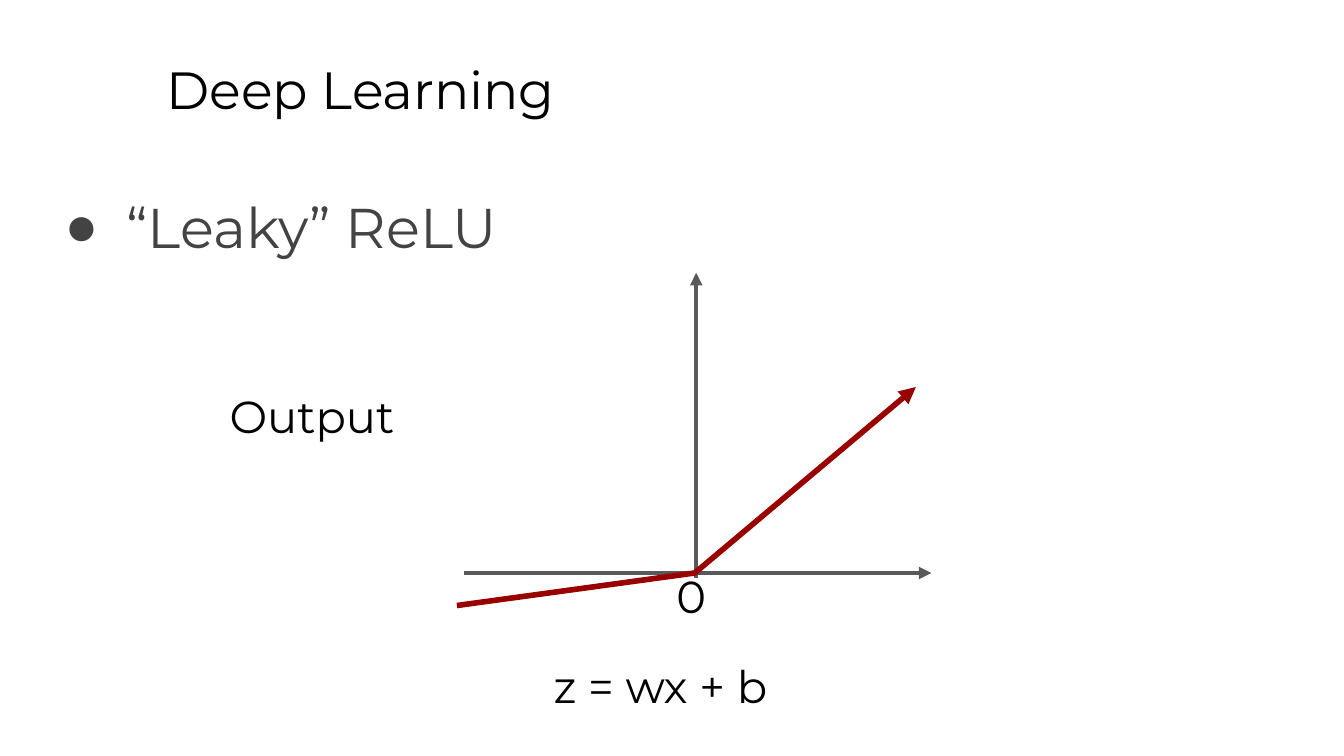
from dataclasses import dataclass

import pptx
import pptx.dml.color
import pptx.enum.shapes
import pptx.enum.text
import pptx.oxml
import pptx.oxml.ns
import pptx.util


@dataclass(frozen=True)
class Theme:
    font: str = "Montserrat"
    ink: str = "000000"
    body: str = "434343"
    axis: str = "595959"
    curve: str = "990000"
    title_size: int = 28
    body_size: int = 30
    label_size: int = 24
    axis_width: float = 2.25
    curve_width: float = 3


@dataclass(frozen=True)
class Box:
    left: float
    top: float
    width: float
    height: float


@dataclass(frozen=True)
class Point:
    x: float
    y: float


@dataclass(frozen=True)
class Label:
    text: str
    box: Box


@dataclass(frozen=True)
class Axis:
    start: Point
    end: Point


THEME = Theme()
WIDTH = pptx.util.Inches(10)
HEIGHT = WIDTH * 9 // 16

TITLE_BOX = Box(11.4, 5.75, 85.2, 11.2)
BODY_BOX = Box(3.4, 22.4, 95.2, 66.5)
AXES = [
    Axis(Point(51.8, 76.45), Point(51.8, 36.1)),
    Axis(Point(34.55, 75.8), Point(69.3, 75.8)),
]
LABELS = [
    Label("z = wx + b", Box(40.2, 85.35, 26.1, 9.6)),
    Label("Output", Box(16.1, 49.68, 17.5, 9.6)),
    Label("0", Box(49.35, 73.4, 5.8, 9.6)),
]
LEAKY_RELU = [Point(34, 80.1), Point(51.7, 75.8), Point(68.15, 51.2)]


def across(share: float) -> int:
    return round(WIDTH * share / 100)


def down(share: float) -> int:
    return round(HEIGHT * share / 100)


def place(shape, box: Box) -> None:
    shape.left, shape.top = across(box.left), down(box.top)
    shape.width, shape.height = across(box.width), down(box.height)


def write(shape, text: str, *, size: float, color: str, line_spacing: float = 1.0):
    frame = shape.text_frame
    frame.word_wrap = True
    frame.auto_size = pptx.enum.text.MSO_AUTO_SIZE.NONE
    frame.vertical_anchor = pptx.enum.text.MSO_ANCHOR.TOP
    inset = pptx.util.Inches(0.1)
    frame.margin_left = frame.margin_right = inset
    frame.margin_top = frame.margin_bottom = inset
    paragraph = frame.paragraphs[0]
    paragraph.alignment = pptx.enum.text.PP_ALIGN.LEFT
    paragraph.line_spacing = line_spacing
    paragraph.space_before = paragraph.space_after = pptx.util.Pt(0)
    run = paragraph.add_run()
    run.text = text
    run.font.name = THEME.font
    run.font.size = pptx.util.Pt(size)
    run.font.color.rgb = pptx.dml.color.RGBColor.from_string(color)
    return paragraph


def add_bullet(paragraph, color: str) -> None:
    properties = paragraph._p.get_or_add_pPr()
    properties.set("marL", str(pptx.util.Inches(0.5)))
    properties.set("indent", str(pptx.util.Inches(-0.46)))
    bullet_color = pptx.oxml.parse_xml(
        f'<a:buClr {pptx.oxml.ns.nsdecls("a")}><a:srgbClr val="{color}"/></a:buClr>'
    )
    bullet = pptx.oxml.parse_xml(f'<a:buChar {pptx.oxml.ns.nsdecls("a")} char="●"/>')
    properties.extend([bullet_color, bullet])


def style_arrow(shape, color: str, width: float) -> None:
    shape.line.color.rgb = pptx.dml.color.RGBColor.from_string(color)
    shape.line.width = pptx.util.Pt(width)
    arrowhead = pptx.oxml.parse_xml(
        f'<a:tailEnd {pptx.oxml.ns.nsdecls("a")} type="triangle"/>'
    )
    shape.line._get_or_add_ln().append(arrowhead)


def draw_axis(slide, axis: Axis) -> None:
    arrow = slide.shapes.add_connector(
        pptx.enum.shapes.MSO_CONNECTOR.STRAIGHT,
        across(axis.start.x), down(axis.start.y),
        across(axis.end.x), down(axis.end.y),
    )
    style_arrow(arrow, THEME.axis, THEME.axis_width)
    no_effects = pptx.oxml.parse_xml(f'<a:effectLst {pptx.oxml.ns.nsdecls("a")}/>')
    arrow._element.spPr.append(no_effects)


def draw_label(slide, label: Label) -> None:
    caption = slide.shapes.add_textbox(0, 0, 0, 0)
    place(caption, label.box)
    write(caption, label.text, size=THEME.label_size, color=THEME.ink)


def draw_curve(slide, points: list[Point]) -> None:
    start, *rest = [(across(point.x), down(point.y)) for point in points]
    builder = slide.shapes.build_freeform(*start)
    builder.add_line_segments(rest, close=False)
    curve = builder.convert_to_shape()
    curve.fill.background()
    curve.shadow.inherit = False
    style_arrow(curve, THEME.curve, THEME.curve_width)


def main() -> None:
    deck = pptx.Presentation()
    deck.slide_width, deck.slide_height = WIDTH, HEIGHT
    slide = deck.slides.add_slide(deck.slide_layouts[1])

    title, activation = slide.placeholders
    place(title, TITLE_BOX)
    write(title, "Deep Learning", size=THEME.title_size, color=THEME.ink)
    place(activation, BODY_BOX)
    name = write(activation, "“Leaky” ReLU", size=THEME.body_size,
                 color=THEME.body, line_spacing=1.15)
    add_bullet(name, THEME.body)

    for axis in AXES:
        draw_axis(slide, axis)
    for label in LABELS:
        draw_label(slide, label)
    draw_curve(slide, LEAKY_RELU)
    deck.save("out.pptx")


if __name__ == "__main__":
    main()
